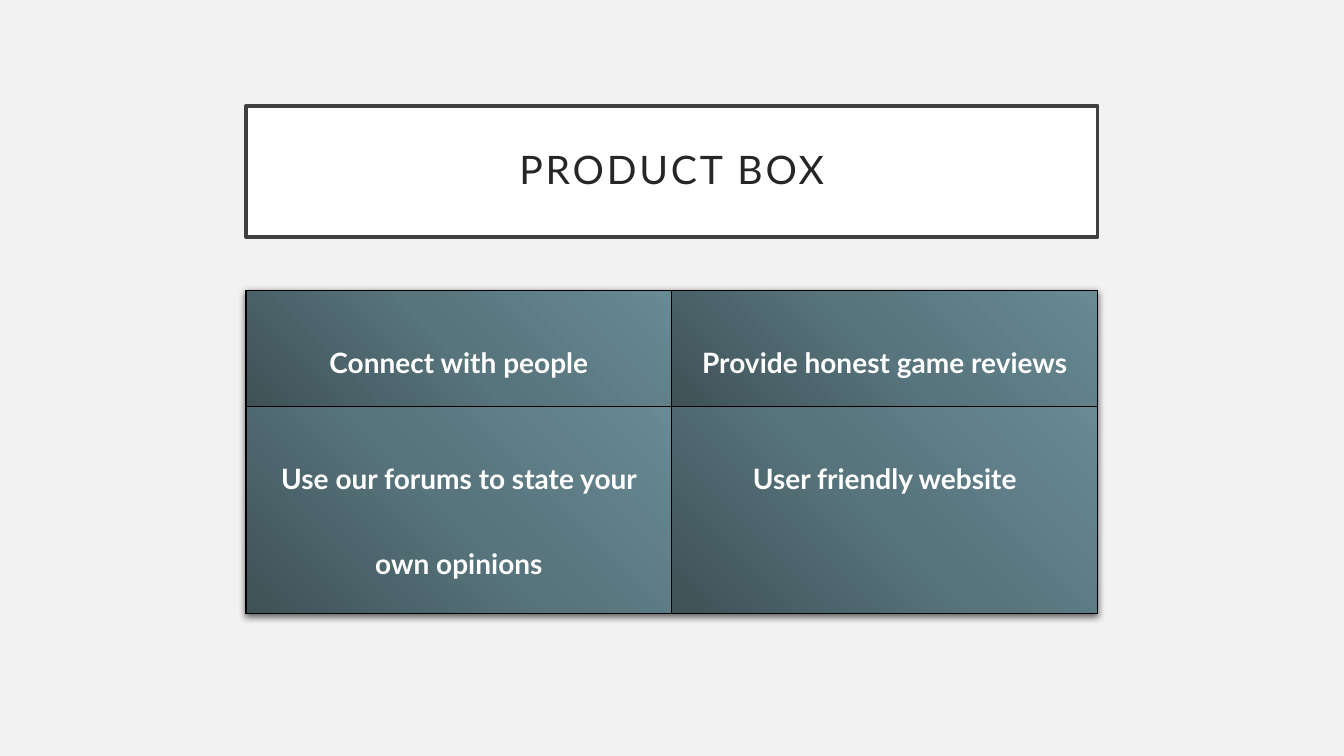
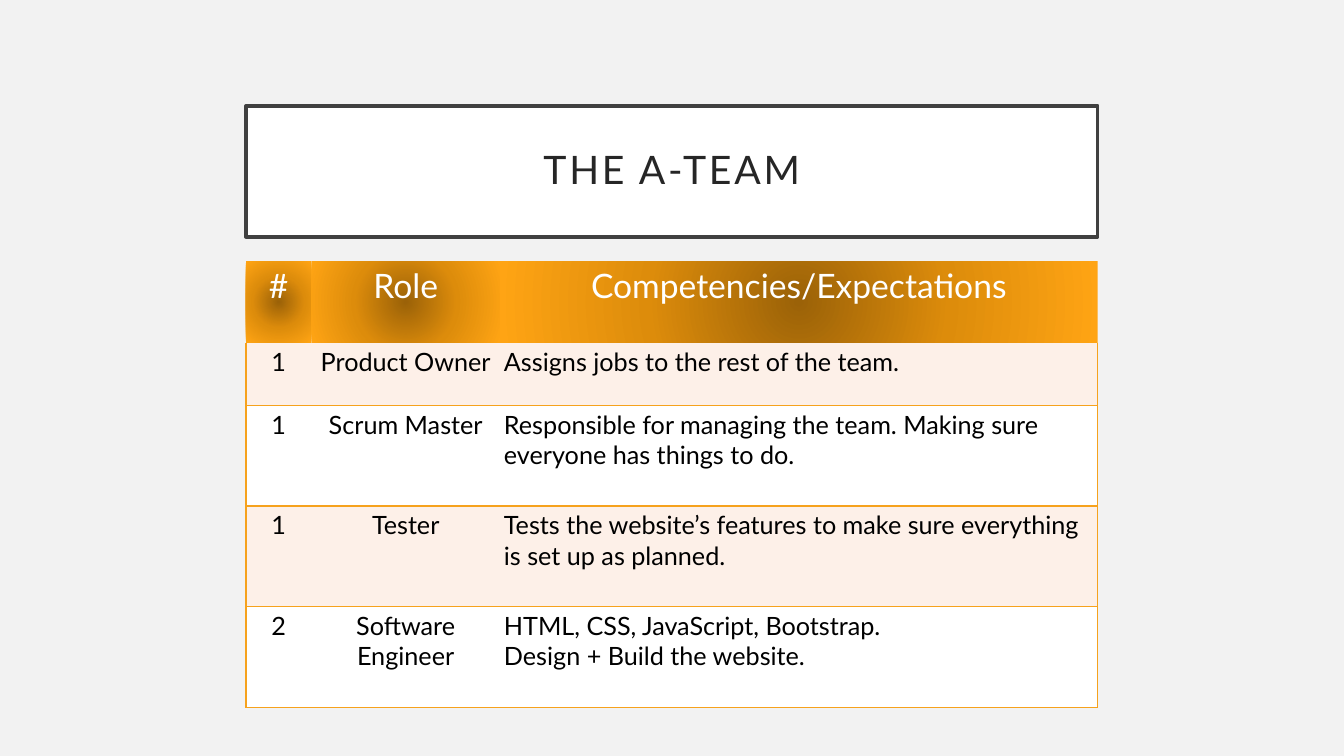
"""Builds two slides that share a framed title, one with product promises and one with team roles."""
from dataclasses import dataclass, field
from typing import Any, Optional

from lxml import etree
from pptx import Presentation
from pptx.dml import color
from pptx.enum import shapes, text
from pptx.oxml import ns
from pptx.util import Pt


@dataclass(frozen=True)
class Theme:
    font: str = "Lato"
    backdrop: str = "F2F2F2"
    white: str = "FFFFFF"
    black: str = "000000"
    frame: str = "404040"
    heading: str = "262626"
    orange: str = "F6A21D"
    peach: str = "FDF0E8"
    teal_stops: tuple[str, ...] = ("3E5257", "58747C", "688A94")
    amber_stops: tuple[str, ...] = ("9B6208", "DD8C0B", "FFA414")
    title_size: float = 28
    header_size: float = 24
    promise_size: float = 20
    role_size: float = 18


THEME = Theme()
SLIDE_WIDTH, SLIDE_HEIGHT = 960, 540
LEFT, WIDTH = 175.68, 608.4
TITLE_TOP, TITLE_HEIGHT, TITLE_INSET = 75.6, 93.6, 14.4
NO_STYLE = "{2D5ABB26-0587-4C30-8999-92F81FD0307C}"
CENTER, START = text.PP_ALIGN.CENTER, text.PP_ALIGN.LEFT
CORNER_FOCUS = {"l": 0, "t": 100, "r": 100, "b": 0}
MIDDLE_FOCUS = {"l": 50, "t": 50, "r": 50, "b": 50}


@dataclass(frozen=True)
class Glow:
    stops: tuple[str, ...]
    focus: dict[str, int]


@dataclass(frozen=True)
class CellLook:
    size: float
    ink: str
    fill: str | Glow
    bold: bool = False
    spacing: float = 1.0
    borders: dict[str, str] = field(default_factory=dict)
    margins: dict[str, float] = field(default_factory=dict)


@dataclass(frozen=True)
class Grid:
    top: float
    columns: tuple[float, ...]
    rows: tuple[float, ...]
    words: tuple[tuple[str, ...], ...]
    looks: tuple[CellLook, ...]
    aligns: tuple[Any, ...]
    shadow: bool = False


@dataclass(frozen=True)
class Page:
    title: str
    grid: Grid


def rgb(code: str) -> color.RGBColor:
    """Turn a hex code into a colour."""
    return color.RGBColor.from_string(code)


def apply(target: Any, values: dict[str, Any]) -> None:
    """Set each named value on the target."""
    for name, value in values.items():
        setattr(target, name, value)


def add_node(parent: Any, tag: str, **attributes: Any) -> Any:
    """Append a drawing element to its parent."""
    return etree.SubElement(parent, ns.qn(f"a:{tag}"), {k: str(v) for k, v in attributes.items()})


def write(frame: Any, words: str, size: float, ink: str, bold: bool, layout: dict[str, Any]) -> None:
    """Fill a text frame, one paragraph for each line."""
    frame.text = words
    for paragraph in frame.paragraphs:
        apply(paragraph, layout)
        for run in paragraph.runs:
            apply(run.font, {"name": THEME.font, "size": Pt(size), "bold": bold})
            run.font.color.rgb = rgb(ink)


def draw_title(slide: Any, words: str) -> None:
    """Draw the framed title."""
    box = slide.shapes.add_shape(shapes.MSO_SHAPE.RECTANGLE, Pt(LEFT), Pt(TITLE_TOP), Pt(WIDTH), Pt(TITLE_HEIGHT))
    box.shadow.inherit = False
    box.fill.solid()
    box.fill.fore_color.rgb = rgb(THEME.white)
    box.line.color.rgb = rgb(THEME.frame)
    box.line.width = Pt(2.5)
    frame = box.text_frame
    apply(frame, {f"margin_{side}": Pt(TITLE_INSET) for side in ("left", "right", "top", "bottom")})
    apply(frame, {"vertical_anchor": text.MSO_ANCHOR.MIDDLE, "word_wrap": True})
    write(frame, words, THEME.title_size, THEME.heading, False, {"alignment": CENTER, "line_spacing": 0.9})
    for run in frame.paragraphs[0].runs:
        run.font._element.set("spc", "200")


def paint_cell(cell: Any, look: CellLook) -> None:
    """Give a cell its borders and its fill."""
    properties = cell._tc.get_or_add_tcPr()
    for side in "LRTB":
        if side in look.borders:
            edge = add_node(properties, f"ln{side}", w=int(Pt(1)))
            add_node(add_node(edge, "solidFill"), "srgbClr", val=look.borders[side])
    if isinstance(look.fill, Glow):
        gradient = add_node(properties, "gradFill", rotWithShape=1)
        stops = add_node(gradient, "gsLst")
        for position, stop in zip((0, 50, 100), look.fill.stops):
            add_node(add_node(stops, "gs", pos=position * 1000), "srgbClr", val=stop)
        route = add_node(gradient, "path", path="circle")
        add_node(route, "fillToRect", **{side: share * 1000 for side, share in look.fill.focus.items()})
    else:
        cell.fill.solid()
        cell.fill.fore_color.rgb = rgb(look.fill)


def cast_shadow(properties: Any) -> None:
    """Put a soft shadow behind a table."""
    effects = add_node(properties, "effectLst")
    properties.insert(0, effects)
    shadow = add_node(effects, "outerShdw", blurRad=int(Pt(5)), dist=int(Pt(1.5)), dir=5400000, rotWithShape=0)
    add_node(add_node(shadow, "srgbClr", val=THEME.black), "alpha", val=60000)


def draw_grid(slide: Any, grid: Grid) -> None:
    """Draw a table with its cells."""
    table = slide.shapes.add_table(
        len(grid.rows), len(grid.columns), Pt(LEFT), Pt(grid.top), Pt(WIDTH), Pt(sum(grid.rows))
    ).table
    apply(table, {"first_row": False, "horz_banding": False})
    properties = table._tbl.tblPr
    properties.find(ns.qn("a:tableStyleId")).text = NO_STYLE
    if grid.shadow:
        cast_shadow(properties)
    for column, width in zip(table.columns, grid.columns):
        column.width = Pt(width)
    for row, height, words, look in zip(table.rows, grid.rows, grid.words, grid.looks):
        row.height = Pt(height)
        for index, (cell, phrase) in enumerate(zip(row.cells, words)):
            apply(cell, {f"margin_{side}": Pt(inset) for side, inset in look.margins.items()})
            align = CENTER if look.size == THEME.header_size else grid.aligns[index]
            layout = {"alignment": align, "line_spacing": look.spacing}
            write(cell.text_frame, phrase, look.size, look.ink, look.bold, layout)
            paint_cell(cell, edged(look, index, len(words)))


def edged(look: CellLook, index: int, count: int) -> CellLook:
    """Keep side borders on the outer columns unless the look rules every edge."""
    if look.bold:
        return look
    hidden = {"L"} if index else set()
    hidden |= {"R"} if index < count - 1 else set()
    kept = {side: ink for side, ink in look.borders.items() if side not in hidden}
    return CellLook(look.size, look.ink, look.fill, borders=kept)


def role_look(fill: str, sides: str) -> CellLook:
    """Describe a row of roles."""
    return CellLook(
        THEME.role_size, THEME.black, fill, borders=dict.fromkeys(sides, THEME.orange), margins=TIGHT
    )


TIGHT = dict.fromkeys(("left", "right", "top", "bottom"), 2.88)
PROMISE = CellLook(
    THEME.promise_size,
    THEME.white,
    Glow(THEME.teal_stops, CORNER_FOCUS),
    bold=True,
    spacing=2.5,
    borders=dict.fromkeys("LRTB", THEME.black),
)
HEADER = CellLook(THEME.header_size, THEME.white, Glow(THEME.amber_stops, MIDDLE_FOCUS), margins=TIGHT)
PLAIN, TINTED = role_look(THEME.white, "LRTB"), role_look(THEME.peach, "LRTB")

PAGES = (
    Page(
        "PRODUCT BOX",
        Grid(
            top=207.36,
            columns=(WIDTH / 2,) * 2,
            rows=(82.8, 148.32),
            words=(
                ("Connect with people", "Provide honest game reviews"),
                ("Use our forums to state your own opinions", "User friendly website"),
            ),
            looks=(PROMISE,) * 2,
            aligns=(CENTER,) * 2,
            shadow=True,
        ),
    ),
    Page(
        "THE A-TEAM",
        Grid(
            top=186.48,
            columns=(46.8, 134.64, 426.96),
            rows=(58.32, 44.64, 72, 72, 72),
            words=(
                ("#", "Role", "Competencies/Expectations"),
                ("1", "Product Owner", "Assigns jobs to the rest of the team."),
                (
                    "1",
                    "Scrum Master",
                    "Responsible for managing the team. Making sure everyone has things to do.",
                ),
                (
                    "1",
                    "Tester",
                    "Tests the website’s features to make sure everything is set up as planned.",
                ),
                ("2", "Software Engineer", "HTML, CSS, JavaScript, Bootstrap.\nDesign + Build the website."),
            ),
            looks=(HEADER, role_look(THEME.peach, "LRB"), PLAIN, TINTED, PLAIN),
            aligns=(CENTER, CENTER, START),
        ),
    ),
)


def build(pages: tuple[Page, ...], blank: Optional[int] = 6) -> None:
    """Build and save the presentation."""
    deck = Presentation()
    apply(deck, {"slide_width": Pt(SLIDE_WIDTH), "slide_height": Pt(SLIDE_HEIGHT)})
    backdrop = deck.slide_master.background.fill
    backdrop.solid()
    backdrop.fore_color.rgb = rgb(THEME.backdrop)
    for page in pages:
        slide = deck.slides.add_slide(deck.slide_layouts[blank])
        draw_title(slide, page.title)
        draw_grid(slide, page.grid)
    deck.save("out.pptx")


build(PAGES)
